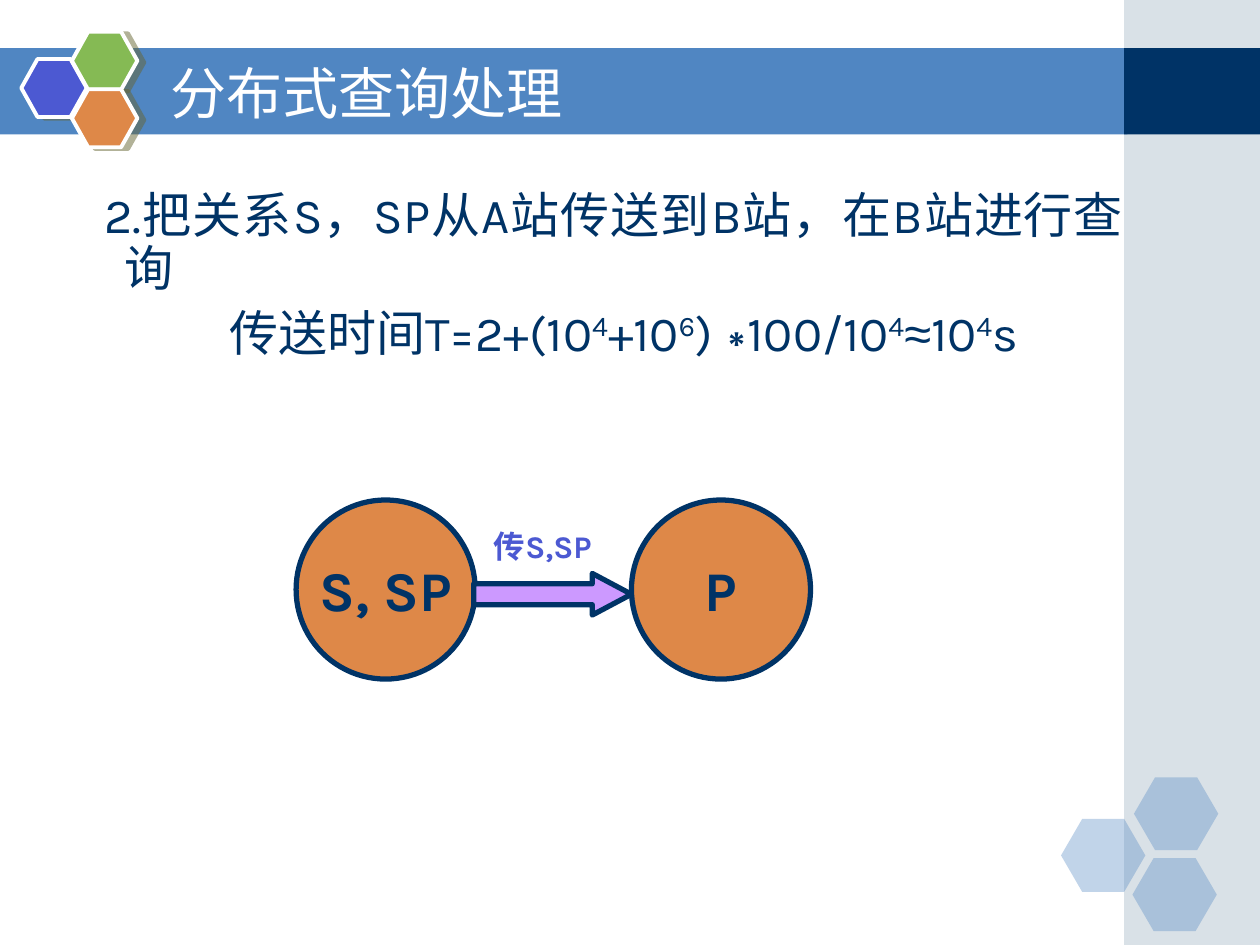
from lxml import etree
from pptx import Presentation
from pptx.dml.color import RGBColor
from pptx.enum.shapes import MSO_SHAPE
from pptx.enum.text import MSO_ANCHOR, PP_ALIGN
from pptx.oxml.ns import qn
from pptx.util import Cm, Pt

BLUE = RGBColor(0x50, 0x86, 0xC2)
NAVY = RGBColor(0x00, 0x33, 0x66)
GREY_BLUE = RGBColor(0xA0, 0xB5, 0xC4)
VIOLET = RGBColor(0x4C, 0x59, 0xD2)
GREEN = RGBColor(0x85, 0xBA, 0x54)
ORANGE = RGBColor(0xDE, 0x88, 0x48)
LILAC = RGBColor(0xCC, 0x99, 0xFF)
OLIVE = RGBColor(0x66, 0x66, 0x33)
WHITE = RGBColor(0xFF, 0xFF, 0xFF)


def add_alpha(color, percent):
    """Make a colour element partly transparent."""
    etree.SubElement(color, qn("a:alpha"), val=str(percent * 1000))


def add_shape(s, kind, x, y, w, h, fill, line=None, width=0, alpha=None):
    """Add a flat filled shape, measured in centimetres."""
    sp = s.shapes.add_shape(kind, Cm(x), Cm(y), Cm(w), Cm(h))
    sp.shadow.inherit = False
    sp.fill.solid()
    sp.fill.fore_color.rgb = fill
    if alpha:
        add_alpha(sp._element.spPr.find(qn("a:solidFill"))[0], alpha)
    if line is None:
        sp.line.fill.background()
    else:
        sp.line.color.rgb = line
        sp.line.width = Pt(width)
    return sp


def add_shadow(sp):
    """Give a shape a hard olive shadow to the right."""
    effects = sp._element.spPr.find(qn("a:effectLst"))
    shadow = etree.SubElement(effects, qn("a:outerShdw"), dist=str(Pt(4.1)),
                              dir=str(14 * 60000), algn="ctr", rotWithShape="0")
    add_alpha(etree.SubElement(shadow, qn("a:srgbClr"), val=str(OLIVE)), 50)


def add_text(s, x, y, w, h, anchor=MSO_ANCHOR.TOP):
    """Add a wrapping text box and return its frame."""
    tf = s.shapes.add_textbox(Cm(x), Cm(y), Cm(w), Cm(h)).text_frame
    tf.word_wrap = True
    tf.vertical_anchor = anchor
    return tf


def add_run(p, text, size, color, font="Karla", bold=False, raised=False):
    """Add one formatted run to a paragraph."""
    r = p.add_run()
    r.text = text
    r.font.size, r.font.name, r.font.bold = Pt(size), font, bold
    r.font.color.rgb = color
    if raised:
        r._r.get_or_add_rPr().set("baseline", "30000")


def add_side_panel(s, x, y, w, h):
    """Draw the header band and the side panel that crosses it."""
    band_top, band_h = y + 0.97, 1.74
    add_shape(s, MSO_SHAPE.RECTANGLE, 0, band_top, x + 0.07, band_h, BLUE)
    add_shape(s, MSO_SHAPE.RECTANGLE, x, y, w, h, GREY_BLUE, alpha=40)
    add_shape(s, MSO_SHAPE.RECTANGLE, x, band_top, w, band_h, NAVY)


def add_corner_hexagons(s, x, y, w, h):
    """Draw three pale hexagons in the lower corner."""
    for dx, dy in ((0, 0.84), (1.47, 0), (1.44, 1.63)):
        sp = add_shape(s, MSO_SHAPE.HEXAGON, x + dx, y + dy, w, h, BLUE, alpha=35)
        sp.adjustments[0] = 0.29


def add_header_hexagons(s, x, y, w, h):
    """Draw three outlined hexagons beside the title."""
    for dx, dy, fill in ((0, 0.55, VIOLET), (1.02, 0, GREEN), (1.02, 1.16, ORANGE)):
        sp = add_shape(s, MSO_SHAPE.HEXAGON, x + dx, y + dy, w, h, fill, WHITE, 2.25)
        sp.adjustments[0] = 0.28
        add_shadow(sp)


def add_title(s, x, y, w, h):
    """Write the slide title."""
    p = add_text(s, x, y, w, h, MSO_ANCHOR.MIDDLE).paragraphs[0]
    add_run(p, "分布式查询处理", 32, WHITE, "DejaVu Sans")


def add_body(s, x, y, w, h):
    """Write the query strategy and its transfer time."""
    tf = add_text(s, x, y, w, h)
    step, formula = tf.paragraphs[0], tf.add_paragraph()
    for p, align, indent in ((step, PP_ALIGN.JUSTIFY, -0.4), (formula, PP_ALIGN.CENTER, 0)):
        p.alignment = align
        p.line_spacing = 0.9
        p.space_before = Pt(7)
        pPr = p._p.get_or_add_pPr()
        pPr.set("marL", str(Cm(0.96)))
        pPr.set("indent", str(Cm(indent)))
    add_run(step, "2.把关系S，SP从A站传送到B站，在B站进行查询", 28, NAVY)
    for text, power in (("传送时间T=2+(10", "4"), ("+10", "6"), (")", ""), ("∗", ""),
                        ("100/10", "4"), ("≈", ""), ("10", "4"), ("s", "")):
        add_run(formula, text, 28, NAVY, "Arial" if text in "∗≈" else "Karla")
        if power:
            add_run(formula, power, 28, NAVY, raised=True)


def add_transfer(s, x, y, w, h):
    """Draw two sites joined by a labelled block arrow."""
    for left, name in ((x, "S, SP"), (x + w - h, "P")):
        sp = add_shape(s, MSO_SHAPE.OVAL, left, y, h, h, ORANGE, NAVY, 3)
        tf = sp.text_frame
        tf.word_wrap = False
        tf.vertical_anchor = MSO_ANCHOR.MIDDLE
        p = tf.paragraphs[0]
        p.alignment = PP_ALIGN.CENTER
        add_run(p, name, 32, NAVY, bold=True)
    arrow = add_shape(s, MSO_SHAPE.RIGHT_ARROW, x + h - 0.03, y + 1.48,
                      w - 2 * h + 0.03, 0.84, LILAC, NAVY, 3)
    arrow.adjustments[1] = 0.94
    p = add_text(s, x + 3.17, y + 0.41, h, 1.02).paragraphs[0]
    p.alignment = PP_ALIGN.CENTER
    add_run(p, "传S,SP", 18, VIOLET, bold=True)


def main():
    """Build and save the slide."""
    prs = Presentation()
    prs.slide_width, prs.slide_height = Cm(25.4), Cm(19.05)
    s = prs.slides.add_slide(prs.slide_layouts[6])
    add_side_panel(s, 22.66, 0, 2.74, 19.05)
    add_corner_hexagons(s, 21.39, 15.67, 1.7, 1.47)
    add_header_hexagons(s, 0.43, 0.64, 1.32, 1.17)
    add_title(s, 3.18, 1.07, 18.62, 1.57)
    add_body(s, 1.3, 3.73, 21.59, 4.39)
    add_transfer(s, 5.97, 10.08, 10.37, 3.61)
    prs.save("out.pptx")


if __name__ == "__main__":
    main()
